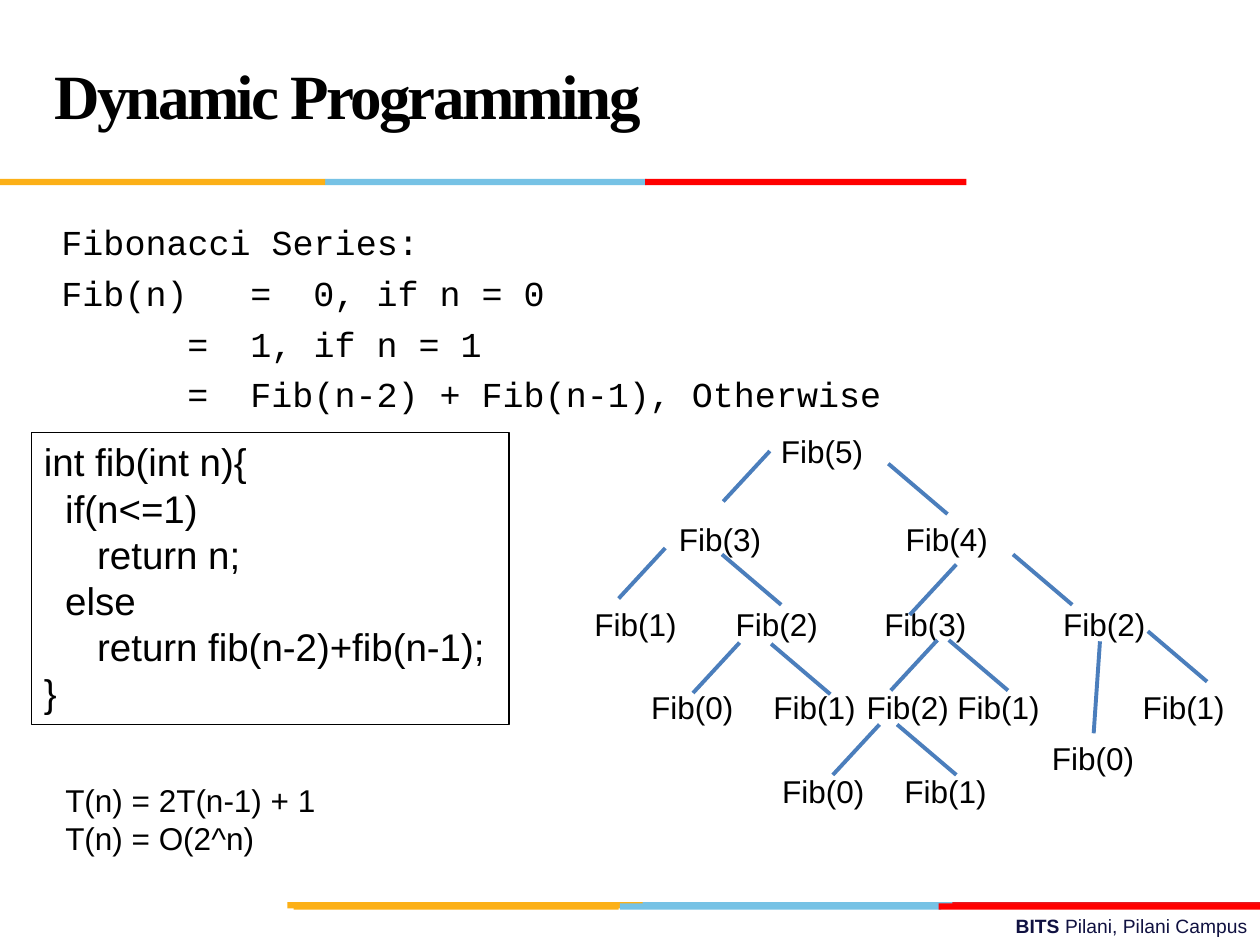
from pptx import Presentation
from pptx.dml.color import RGBColor
from pptx.enum.shapes import MSO_CONNECTOR, MSO_SHAPE
from pptx.enum.text import MSO_ANCHOR, MSO_AUTO_SIZE, PP_ALIGN
from pptx.oxml.ns import qn
from pptx.util import Inches, Pt
from lxml import etree

STRAIGHT, RECT = MSO_CONNECTOR.STRAIGHT, MSO_SHAPE.RECTANGLE
MIDDLE, TOP_ANCHOR, NO_FIT = MSO_ANCHOR.MIDDLE, MSO_ANCHOR.TOP, MSO_AUTO_SIZE.NONE
LEFT, RIGHT, JUSTIFY = PP_ALIGN.LEFT, PP_ALIGN.RIGHT, PP_ALIGN.JUSTIFY
TOP_SITE = 0

THEME = {
    "black": "000000", "navy": "101141", "edge": "4B7EBC",
    "yellow": "FCB017", "blue": "76C2E5", "crimson": "E31C24", "red": "FF0000",
    "sans": "Arial", "mono": "Courier New", "serif": "Times New Roman",
    "title": 36, "code": 22, "definition": 20, "text": 18, "footer": 11,
}

TITLE = "Dynamic Programming"
DEFINITION = [
    "Fibonacci Series:",
    "Fib(n)\t=\t0, if n = 0",
    "\t\t=\t1, if n = 1",
    "\t\t=\tFib(n-2) + Fib(n-1), Otherwise",
]
CODE = [
    "int fib(int n){",
    "  if(n<=1)",
    "     return n;",
    "  else",
    "     return fib(n-2)+fib(n-1);",
    "}",
]
COMPLEXITY = ["T(n) = 2T(n-1) + 1", "T(n) = O(2^n)"]
FOOTER = ("BITS ", "Pilani, Pilani Campus")

# Stripes: top, then (left, right, colour) segments
STRIPES = [
    (7.16, [(5.06, 7.61, "blue"), (7.56, 10, "crimson"), (2.28, 5.1, "yellow")]),
    (7.17, [(4.92, 7.47, "blue"), (2.33, 4.91, "yellow"), (7.45, 10, "red")]),
    (1.42, [(2.58, 5.13, "blue"), (0, 2.58, "yellow"), (5.12, 7.67, "red")]),
]
STRIPE_H = 0.05

# Call tree: top of each row, then (argument, left) of each call in it
CALLS = [
    (3.38, [(5, 6.1)]),
    (4.08, [(3, 5.29), (4, 7.09)]),
    (4.75, [(1, 4.62), (2, 5.74), (3, 6.92), (2, 8.34)]),
    (5.41, [(0, 5.07), (1, 6.04), (2, 6.78), (1, 7.5), (1, 8.97)]),
    (5.82, [(0, 8.25)]),
    (6.08, [(0, 6.11), (1, 7.08)]),
]
CALL_W, CALL_H = 0.86, 0.4
# Branches: (run, drop), then the upper ends
BRANCHES = [
    ((-0.37, 0.4), [(6.11, 3.58), (5.28, 4.35), (5.87, 5.1),
                    (7.59, 4.48), (6.98, 5.75), (7.44, 5.08)]),
    ((0.47, 0.4), [(7.05, 3.68), (5.73, 4.4), (8.04, 4.4), (7.12, 5.75),
                   (6.12, 5.11), (7.53, 5.08), (9.11, 5.01)]),
    ((-0.05, 0.73), [(8.73, 5.09)]),
]


def color(name):
    return RGBColor.from_string(THEME[name])


def style(font, size, face="sans", ink="black", bold=False):
    font.size, font.name, font.bold = Pt(THEME[size]), THEME[face], bold
    font.color.rgb = color(ink)


def fill_text(sp, lines, size, face="sans", align=LEFT, wrap=True):
    tf = sp.text_frame
    tf.word_wrap, tf.auto_size = wrap, NO_FIT
    tf.text = "\n".join(lines)
    for p in tf.paragraphs:
        p.alignment = align
        for r in p.runs:
            style(r.font, size, face)
    return tf


def add_text(s, box, lines, size, **options):
    sp = s.shapes.add_textbox(*map(Inches, box))
    fill_text(sp, lines, size, **options)
    return sp


def add_stripes(s):
    for top, segments in STRIPES:
        for left, right, name in segments:
            sp = s.shapes.add_shape(RECT, Inches(left), Inches(top),
                                    Inches(right - left), Inches(STRIPE_H))
            sp.shadow.inherit = False
            sp.fill.solid()
            sp.fill.fore_color.rgb = color(name)
            sp.line.fill.background()


def add_title(s):
    sp = s.shapes.title
    sp.left, sp.top, sp.width, sp.height = map(Inches, (0.33, 0.17, 6.92, 1.25))
    tf = fill_text(sp, [TITLE], "title", face="serif", align=JUSTIFY)
    tf.vertical_anchor = MIDDLE
    p = tf.paragraphs[0]
    p.line_spacing = Pt(36)
    r = p.runs[0]
    r.font.bold = True
    r.font._element.set("spc", "-150")


def add_definition(s):
    sp = add_text(s, (0.33, 1.63, 9, 1.78), DEFINITION, "definition",
                  face="mono", align=JUSTIFY)
    sp.text_frame.margin_top = Inches(0.12)
    for i, p in enumerate(sp.text_frame.paragraphs):
        p._p.get_or_add_pPr().set("marL", str(Inches(0.06)))
        p.space_before = Pt(5 if i else 0)


def add_code(s):
    sp = s.shapes.add_shape(RECT, *map(Inches, (0.25, 3.43, 3.79, 2.32)))
    sp.shadow.inherit = False
    sp.fill.background()
    sp.line.color.rgb = color("black")
    sp.line.width = Pt(0.75)
    fill_text(sp, CODE, "code").vertical_anchor = TOP_ANCHOR


def add_footer(s):
    sp = add_text(s, (3.58, 7.21, 6.42, 0.29), [""], "footer", align=RIGHT)
    for i, part in enumerate(FOOTER):
        r = sp.text_frame.paragraphs[0].add_run()
        r.text = part
        style(r.font, "footer", ink="navy", bold=i == 0)


def add_call_tree(s):
    call_at_top = {}
    for top, row in CALLS:
        for n, left in row:
            sp = add_text(s, (left, top, CALL_W, CALL_H), [f"Fib({n})"],
                          "text", wrap=False)
            call_at_top[round(left + CALL_W / 2, 2), top] = sp
    for (run, drop), starts in BRANCHES:
        for x, y in starts:
            end = round(x + run, 2), round(y + drop, 2)
            line = s.shapes.add_connector(STRAIGHT, *map(Inches, (x, y, *end)))
            line.line.color.rgb = color("edge")
            line.line.width = Pt(2.25)
            etree.SubElement(line._element.spPr, qn("a:effectLst"))
            if end in call_at_top:
                line.end_connect(call_at_top[end], TOP_SITE)


def main():
    prs = Presentation()
    prs.slide_width, prs.slide_height = Inches(10), Inches(7.5)
    s = prs.slides.add_slide(prs.slide_layouts[5])
    add_footer(s)
    add_stripes(s)
    add_definition(s)
    add_title(s)
    add_call_tree(s)
    add_code(s)
    add_text(s, (0.42, 6.15, 5, 0.71), COMPLEXITY, "text")
    prs.save("out.pptx")


if __name__ == "__main__":
    main()
